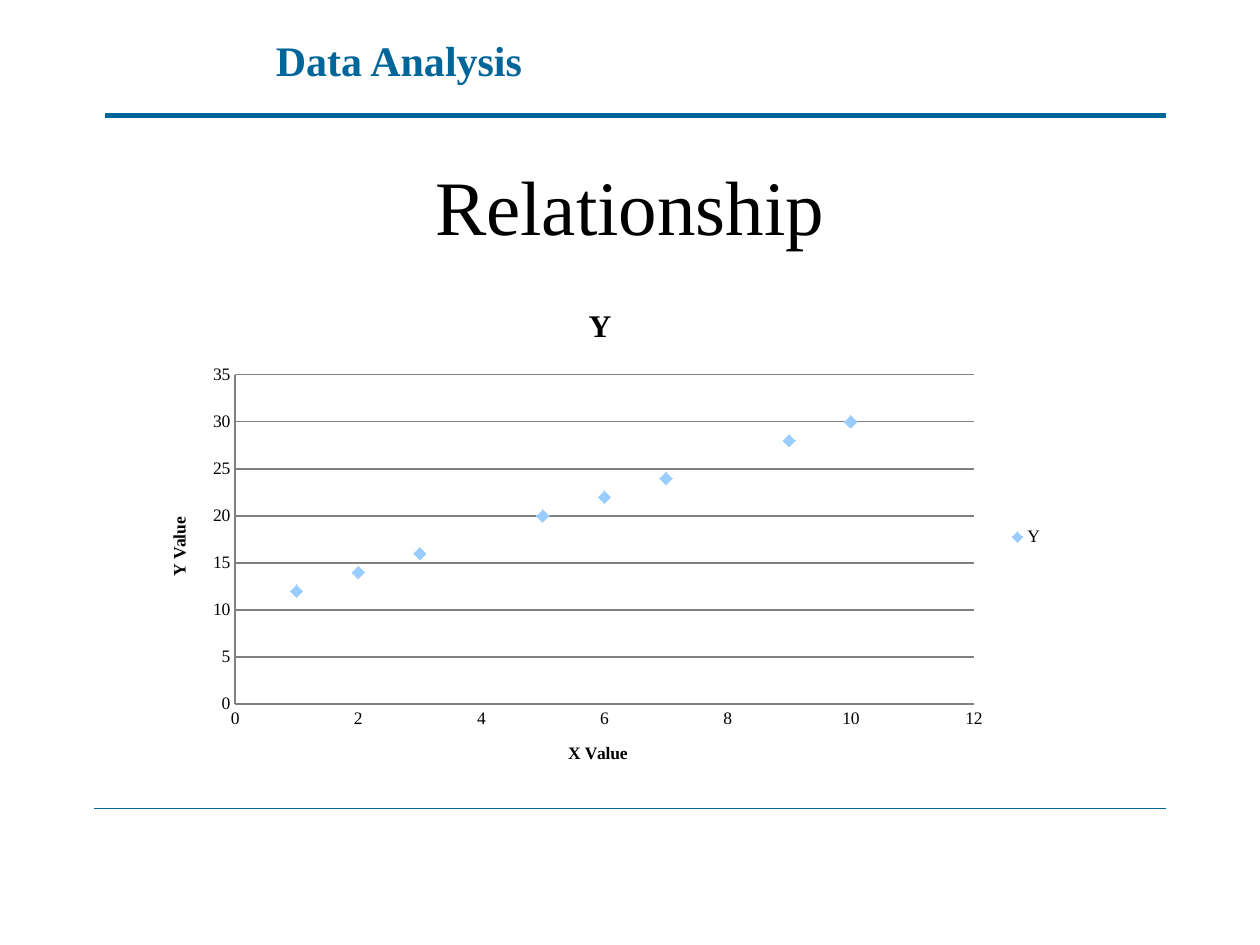
from lxml.etree import SubElement
from pptx import Presentation
from pptx.chart.data import XyChartData
from pptx.dml.color import RGBColor
from pptx.enum.chart import (XL_CHART_TYPE, XL_LEGEND_POSITION, XL_MARKER_STYLE,
                             XL_TICK_MARK)
from pptx.enum.shapes import MSO_CONNECTOR
from pptx.enum.text import MSO_ANCHOR, PP_ALIGN
from pptx.oxml import parse_xml
from pptx.oxml.ns import nsdecls, qn
from pptx.util import Cm, Pt

# Content: positions in cm
FONT = "Times New Roman"
COLORS = {"accent": "006699", "text": "000000", "grid": "808080", "marker": "99CCFF"}
TEXTS = [
    {"text": "Data Analysis", "box": (5.31, 0.58, 13.41, 1.27), "size": 24,
     "color": "accent", "bold": True, "align": PP_ALIGN.LEFT, "anchor": MSO_ANCHOR.TOP},
    {"text": "Relationship", "box": (1.9, 2.54, 21.6, 3.18), "size": 44,
     "color": "text", "bold": False, "align": PP_ALIGN.CENTER, "anchor": MSO_ANCHOR.MIDDLE},
]
RULES = [(2.11, 2.33, 23.5, 3), (1.9, 16.3, 23.5, 0.75)]  # left, y, right, points
CHART_BOX = (2.9, 5.72, 18.39, 10.21)
PLOT = {"x": 0.1, "y": 0.18, "w": 0.81, "h": 0.65}  # shares of the chart
SERIES = "Y"
POINTS = [(1, 12), (2, 14), (3, 16), (5, 20), (6, 22), (7, 24), (9, 28), (10, 30)]
AXES = {"category_axis": ("X Value", 12, 2, False), "value_axis": ("Y Value", 35, 5, True)}


def rgb(name):
    return RGBColor.from_string(COLORS[name])


def set_values(target, values):
    for name, value in values.items():
        setattr(target, name, value)


def style_font(font, size, color="text", bold=False):
    set_values(font, {"name": FONT, "size": Pt(size), "bold": bold})
    font.color.rgb = rgb(color)


def style_line(line, color, width):
    line.color.rgb = rgb(color)
    line.width = Pt(width)


def set_title(owner, text, size):
    frame = (owner.chart_title if hasattr(owner, "chart_title") else owner.axis_title).text_frame
    frame.text = text
    style_font(frame.paragraphs[0].runs[0].font, size, bold=True)


presentation = Presentation()
set_values(presentation, {"slide_width": Cm(25.4), "slide_height": Cm(19.05)})
slide = presentation.slides.add_slide(presentation.slide_layouts[6])

# Heading and title
for item in TEXTS:
    frame = slide.shapes.add_textbox(*map(Cm, item["box"])).text_frame
    set_values(frame, {"word_wrap": True, "vertical_anchor": item["anchor"]})
    paragraph = frame.paragraphs[0]
    paragraph.alignment = item["align"]
    run = paragraph.add_run()
    run.text = item["text"]
    style_font(run.font, item["size"], item["color"], item["bold"])

# Rules above and below the content
for left, y, right, width in RULES:
    connector = slide.shapes.add_connector(
        MSO_CONNECTOR.STRAIGHT, Cm(left), Cm(y), Cm(right), Cm(y))
    style_line(connector.line, "accent", width)
    SubElement(connector._element.spPr, qn("a:effectLst"))

# Scatter chart
data = XyChartData()
points = data.add_series(SERIES)
for x, y in POINTS:
    points.add_data_point(x, y)
chart = slide.shapes.add_chart(
    XL_CHART_TYPE.XY_SCATTER, *map(Cm, CHART_BOX), data).chart
style_font(chart.font, 10)
set_values(chart, {"has_title": True, "has_legend": True})
set_title(chart, SERIES, 18)
set_values(chart.legend, {"position": XL_LEGEND_POSITION.RIGHT, "include_in_layout": False})
chart.plots[0].vary_by_categories = False

# Markers without a joining line
series = chart.plots[0].series[0]
series.smooth = False
series.format.line.fill.background()
set_values(series.marker, {"style": XL_MARKER_STYLE.DIAMOND, "size": 7})
series.marker.format.fill.solid()
series.marker.format.fill.fore_color.rgb = rgb("marker")
style_line(series.marker.format.line, "marker", 0.75)

# Axes
for name, (title, maximum, step, grid) in AXES.items():
    axis = getattr(chart, name)
    set_values(axis, {
        "minimum_scale": 0, "maximum_scale": maximum, "major_unit": step,
        "has_major_gridlines": grid, "major_tick_mark": XL_TICK_MARK.NONE,
        "minor_tick_mark": XL_TICK_MARK.NONE, "has_title": True})
    set_title(axis, title, 10)
    style_font(axis.tick_labels.font, 10)
    style_line(axis.format.line, "grid", 0.75)
    if grid:
        style_line(axis.major_gridlines.format.line, "grid", 0.75)

# Fixed plot area inside the chart
plot_area = chart._chartSpace.chart.plotArea
for layout in plot_area.findall(qn("c:layout")):
    plot_area.remove(layout)
modes = "".join(f'<c:{side}Mode val="edge"/>' for side in "xy")
sizes = "".join(f'<c:{side} val="{share}"/>' for side, share in PLOT.items())
plot_area.insert(0, parse_xml(
    f'<c:layout {nsdecls("c")}><c:manualLayout><c:layoutTarget val="inner"/>'
    f'{modes}{sizes}</c:manualLayout></c:layout>'))

presentation.save("out.pptx")
